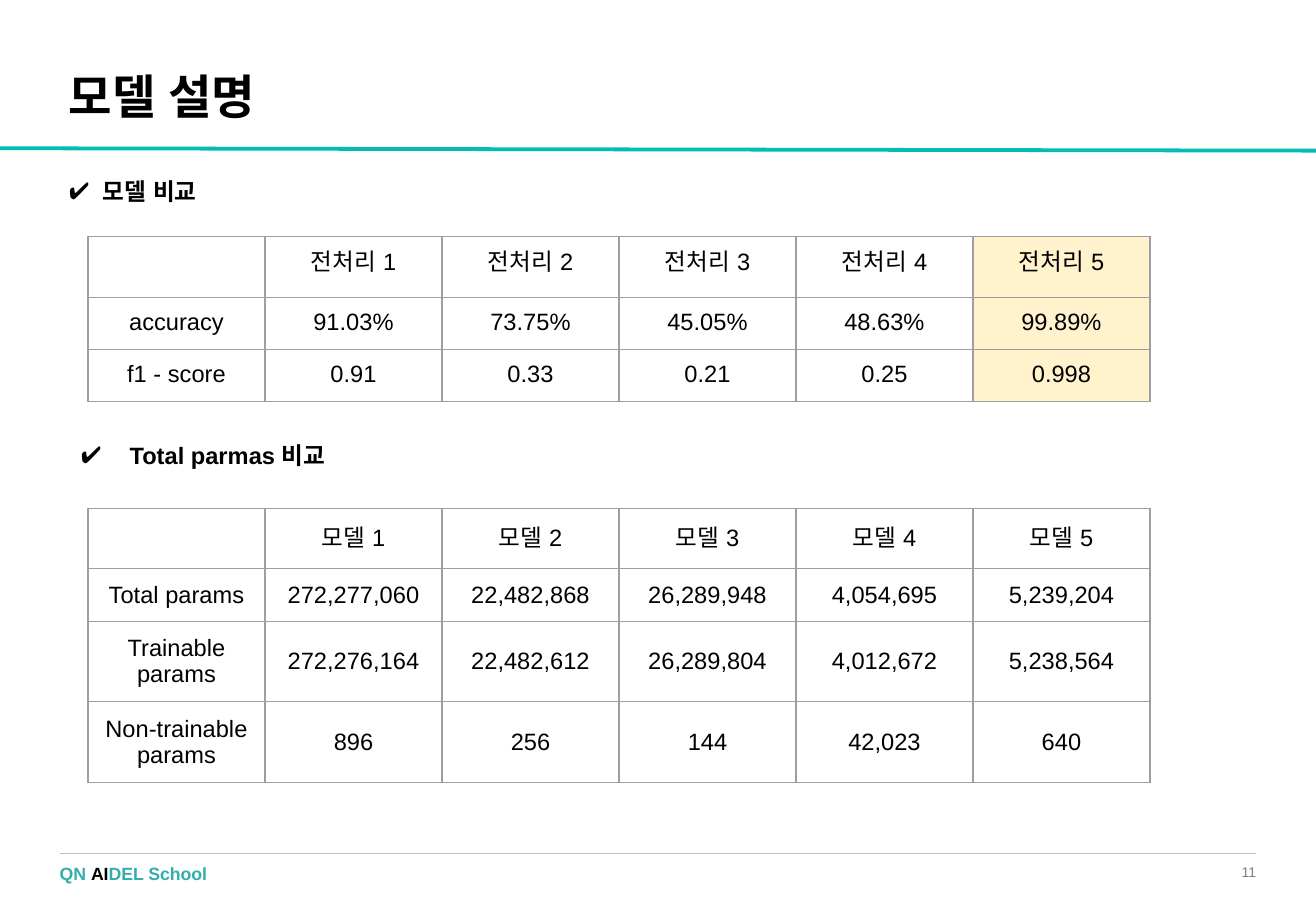
from lxml.etree import SubElement as Sub
from pptx import Presentation
from pptx.dml.color import RGBColor as Rgb
from pptx.enum.shapes import MSO_CONNECTOR as Link
from pptx.enum.text import MSO_ANCHOR as Anchor, PP_ALIGN as Align
from pptx.oxml.ns import qn
from pptx.util import Cm, Pt

FONT = "Arial"
BLACK, TEAL, GRAY, RULE, GRID, GOLD = (
    "000000", "34AEAA", "7F7F7F", "BFBFBF", "9E9E9E", "FFF2CC")
WIDE, HIGH = 27.51, 19.05
COL, ROW = 3.7, 1.07

SCORES = [
    ["", *(f"전처리 {n}" for n in range(1, 6))],
    ["accuracy", "91.03%", "73.75%", "45.05%", "48.63%", "99.89%"],
    ["f1 - score", "0.91", "0.33", "0.21", "0.25", "0.998"],
]
PARAMS = [
    ["", *(f"모델 {n}" for n in range(1, 6))],
    ["Total params", "272,277,060", "22,482,868", "26,289,948", "4,054,695", "5,239,204"],
    ["Trainable params", "272,276,164", "22,482,612", "26,289,804", "4,012,672", "5,238,564"],
    ["Non-trainable params", "896", "256", "144", "42,023", "640"],
]


def color(code):
    """Turn a hex string into a colour."""
    return Rgb.from_string(code)


def write(frame, *runs, size=14, bold=False, align=Align.LEFT, space=None):
    """Fill a text frame with (text, colour) runs and return its paragraph."""
    para = frame.paragraphs[0]
    para.alignment = align
    para.line_spacing = space
    for text, tint in runs:
        run = para.add_run()
        run.text = text
        font = run.font
        font.name, font.size, font.bold = FONT, Pt(size), bold
        font.color.rgb = color(tint)
        for tag in ("a:ea", "a:cs"):
            Sub(run._r.rPr, qn(tag), typeface=FONT)
    return para


def frame(slide, box, pad=(0.25, 0.13), anchor=Anchor.TOP):
    """Add a wrapping text box and return its text frame."""
    area = slide.shapes.add_textbox(*map(Cm, box)).text_frame
    area.word_wrap = True
    area.margin_left = area.margin_right = Cm(pad[0])
    area.margin_top = area.margin_bottom = Cm(pad[1])
    area.vertical_anchor = anchor
    return area


def rule(slide, start, end, tint, width):
    """Draw a straight line without a shadow."""
    line = slide.shapes.add_connector(Link.STRAIGHT, *map(Cm, (*start, *end)))
    line.line.color.rgb = color(tint)
    line.line.width = Pt(width)
    Sub(line._element.spPr, qn("a:effectLst"))


def header(slide, left, top, width, height):
    """Place the title and the teal line below it."""
    area = frame(slide, (left + 1.19, top + 1.42, 8.84, 1.65))
    write(area, ("모델 설명", BLACK), size=28, bold=True, space=0.9)
    rule(slide, (left + width, top + height), (left, top + height - 0.05), "02BDB6", 2.25)


def heading(slide, text, box, indent, hang, space=None):
    """Place a heading with a check mark bullet."""
    para = write(frame(slide, box), (text, BLACK), bold=True, space=space)
    props = para._p.get_or_add_pPr()
    props.set("marL", str(Cm(indent)))
    props.set("indent", str(-Cm(hang)))
    Sub(Sub(props, qn("a:buClr")), qn("a:srgbClr"), val=BLACK)
    Sub(props, qn("a:buFont"), typeface=FONT)
    Sub(props, qn("a:buChar"), char="✔")


def border(cell):
    """Outline a cell on all four sides."""
    props = cell._tc.get_or_add_tcPr()
    for spot, side in enumerate(("a:lnL", "a:lnR", "a:lnT", "a:lnB")):
        line = props.makeelement(qn(side), {"w": str(Pt(0.75))})
        Sub(Sub(line, qn("a:solidFill")), qn("a:srgbClr"), val=GRID)
        props.insert(spot, line)


def grid(slide, rows, left, top, anchor=Anchor.TOP, mark=None):
    """Place a table of values, with one column marked if wanted."""
    count = len(rows[0])
    box = map(Cm, (left, top, COL * count, ROW * len(rows)))
    table = slide.shapes.add_table(len(rows), count, *box).table
    table.first_row = table.horz_banding = False
    for col in table.columns:
        col.width = Cm(COL)
    for line, values in zip(table.rows, rows):
        line.height = Cm(ROW)
        for spot, (cell, text) in enumerate(zip(line.cells, values)):
            cell.margin_left = cell.margin_right = Cm(0.25)
            cell.margin_top = cell.margin_bottom = Cm(0.25)
            cell.vertical_anchor = anchor
            if spot == mark:
                cell.fill.solid()
                cell.fill.fore_color.rgb = color(GOLD)
            else:
                cell.fill.background()
            border(cell)
            if text:
                write(cell.text_frame, (text, BLACK), align=Align.CENTER)


def footer(slide, left, top, width):
    """Place the bottom line, the school name and the page number."""
    rule(slide, (left, top), (left + width, top), RULE, 0.75)
    name = frame(slide, (left, top + 0.2, 8.03, 0.46), (0, 0))
    write(name, ("QN ", TEAL), ("AI", BLACK), ("DEL School", TEAL), size=10.5, bold=True)
    page = frame(slide, (left + width - 1.7, top + 0.2, 1.7, 0.36), (0, 0), Anchor.MIDDLE)
    write(page, ("11", GRAY), size=8.3, align=Align.RIGHT)


def main():
    """Build the slide and save it."""
    deck = Presentation()
    deck.slide_width, deck.slide_height = Cm(WIDE), Cm(HIGH)
    slide = deck.slides.add_slide(deck.slide_layouts[6])
    header(slide, 0, 0, WIDE, 3.15)
    heading(slide, "모델 비교", (1.19, 3.63, 3.76, 0.79), 0.71, 0.71, 0.9)
    grid(slide, SCORES, 1.84, 4.95, mark=5)
    heading(slide, "Total parmas 비교", (1.19, 9.09, 25.4, 1.02), 1.27, 1.02)
    grid(slide, PARAMS, 1.84, 10.63, Anchor.MIDDLE)
    footer(slide, 1.25, 17.85, 25.01)
    deck.save("out.pptx")


if __name__ == "__main__":
    main()
